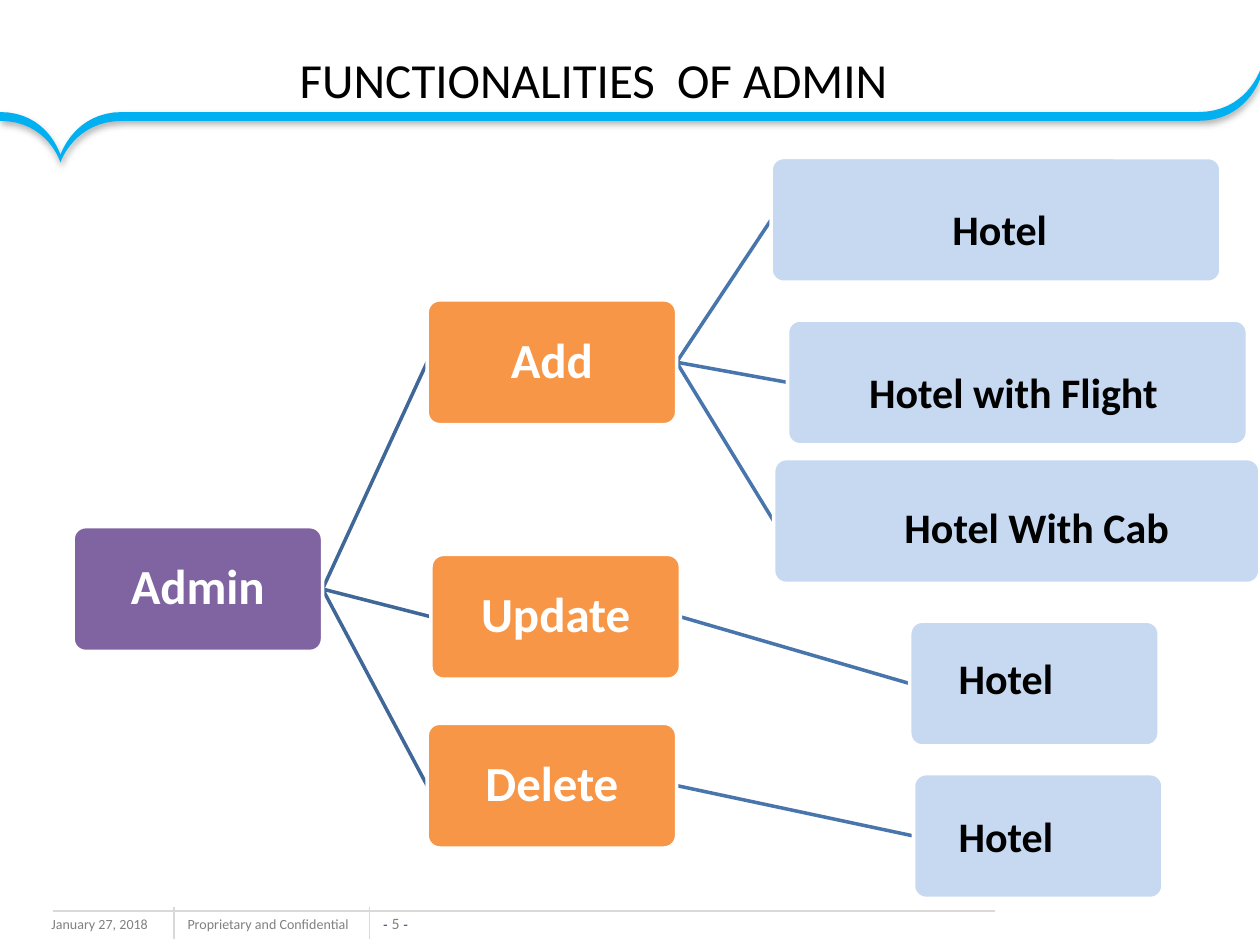
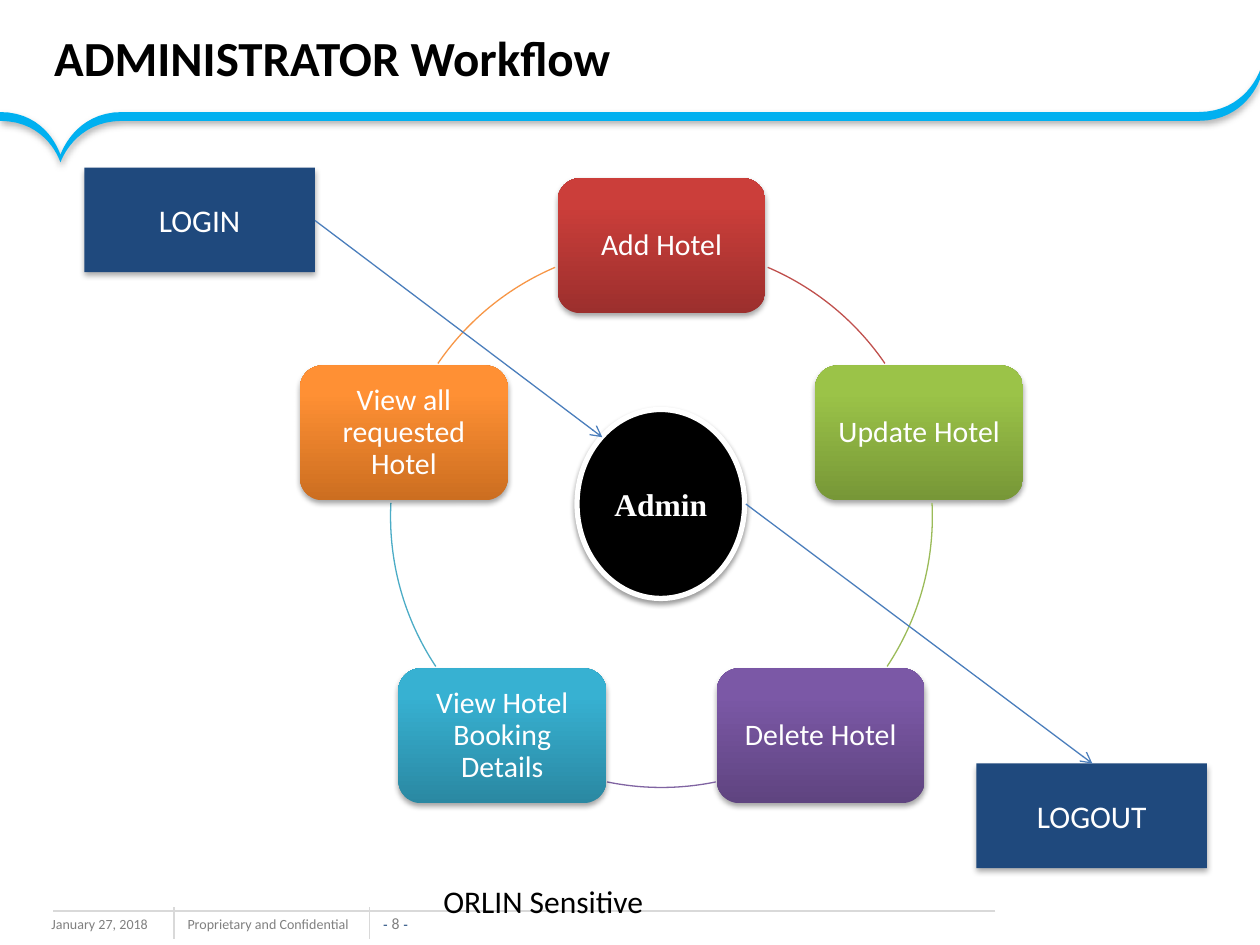
"""Build two admin slides: a tree of functions and a circular workflow."""
import math
from dataclasses import dataclass

from lxml import etree
from pptx import Presentation
from pptx import util as u
from pptx.dml.color import RGBColor
from pptx.enum import shapes, text
from pptx.oxml.ns import qn

Inches, Pt = u.Inches, u.Pt
SHAPE, ALIGN, ANCHOR = shapes.MSO_SHAPE, text.PP_ALIGN, text.MSO_ANCHOR


@dataclass(frozen=True)
class Theme:
    font: str = "Calibri"
    mark_font: str = "Arial"
    hub_font: str = "Times New Roman"
    black: str = "000000"
    white: str = "FFFFFF"
    band: str = "00B0F0"
    navy: str = "1F497D"
    grey: str = "808080"
    rule: str = "D9D9D9"
    root: str = "8064A2"
    action: str = "F79646"
    target: str = "C6D9F1"
    root_link: str = "3F6797"
    action_link: str = "4875AC"
    arrow: str = "4B7EBC"
    heading: int = 28
    label: int = 24
    body: int = 18
    step: int = 17
    number: int = 9
    footer: int = 8


theme = Theme()


def write(box, runs, align=ALIGN.CENTER, anchor=ANCHOR.MIDDLE, inset=(0.1, 0.05), spacing=1.0):
    frame = box.text_frame
    frame.word_wrap = True
    frame.auto_size = text.MSO_AUTO_SIZE.NONE
    frame.vertical_anchor = anchor
    frame.margin_left = frame.margin_right = Inches(inset[0])
    frame.margin_top = frame.margin_bottom = Inches(inset[1])
    paragraph = frame.paragraphs[0]
    paragraph.alignment = align
    paragraph.line_spacing = spacing
    for words, size, color, bold, font in runs:
        run = paragraph.add_run()
        run.text = words
        run.font.size = Pt(size)
        run.font.bold = bold
        run.font.name = font
        run.font.color.rgb = RGBColor.from_string(color)


def connect(slide, start, end, color, width=0.75, arrow=False):
    link = slide.shapes.add_connector(
        shapes.MSO_CONNECTOR.STRAIGHT, *[Inches(v) for v in (*start, *end)])
    link.line.color.rgb = RGBColor.from_string(color)
    link.line.width = Pt(width)
    properties = link.element.spPr
    if arrow:
        etree.SubElement(properties.find(qn("a:ln")), qn("a:tailEnd"), type="arrow")
    etree.SubElement(properties, qn("a:effectLst"))
    return link


prs = Presentation()
prs.slide_width, prs.slide_height = Inches(10), Inches(7.5)
layout = prs.slide_layouts[5]
tree = prs.slides.add_slide(layout)
cycle = prs.slides.add_slide(layout)
shadowed = []

band_curves = [
    [(9.51, 0.89), (0.97, 0.89), (0.97, 0.89), (0.97, 0.89)],
    [(0.97, 0.89), (0.59, 0.89), (0.48, 1.23), (0.48, 1.23)],
    [(0.48, 1.23), (0.48, 1.23), (0.38, 0.89), (0, 0.89)],
    [(0, 0.96), (0.38, 0.96), (0.48, 1.29), (0.48, 1.29)],
    [(0.48, 1.29), (0.48, 1.29), (0.59, 0.96), (0.97, 0.96)],
    [(9.51, 0.96), (9.89, 0.96), (10, 0.63), (10, 0.63)],
    [(10, 0.56), (10, 0.56), (9.89, 0.89), (9.51, 0.89)],
]
outline = []
for curve in band_curves:
    for n in range(17):
        t = n / 16
        weights = ((1 - t) ** 3, 3 * t * (1 - t) ** 2, 3 * t * t * (1 - t), t ** 3)
        outline.append(tuple(
            Inches(sum(w * point[axis] for w, point in zip(weights, curve))) for axis in (0, 1)))
builder = tree.shapes.build_freeform(*outline[0])
builder.add_line_segments(outline[1:], close=True)
band = builder.convert_to_shape()
band.fill.solid()
band.fill.fore_color.rgb = RGBColor.from_string(theme.band)
band.line.fill.background()
shadowed.append((band, 31, 4, 2))

shared = [band]
for left, width, words in ((0.31, 1.33, "January 27, 2018"),
                           (1.39, 1.57, "Proprietary and Confidential")):
    note = tree.shapes.add_textbox(Inches(left), Inches(7.22), Inches(width), Inches(0.25))
    write(note, [(words, theme.footer, theme.grey, False, theme.font)], ALIGN.LEFT, ANCHOR.TOP)
    shared.append(note)
for start, end in (((1.38, 7.2), (1.38, 7.45)), ((2.93, 7.2), (2.93, 7.45)),
                   ((7.9, 7.23), (0.42, 7.23))):
    shared.append(connect(tree, start, end, theme.rule))
for part in shared:
    layout.shapes.element.append(part.element)

for slide, number, heading, area, bold, align in (
        (tree, "5", "FUNCTIONALITIES  OF ADMIN", (0.21, 0, 9, 1.25), False, ALIGN.CENTER),
        (cycle, "8", "ADMINISTRATOR Workflow", (0.33, 0.02, 9, 0.87), True, ALIGN.LEFT)):
    title = slide.shapes.title
    title.left, title.top, title.width, title.height = [Inches(v) for v in area]
    write(title, [(heading, theme.heading, theme.black, bold, theme.font)], align)
    page = slide.shapes.add_textbox(Inches(3.01), Inches(7.25), Inches(0.26), Inches(0.15))
    write(page, [("- ", theme.footer, theme.navy, False, theme.mark_font),
                 (number + " ", theme.number, theme.grey, False, theme.font),
                 ("-", theme.footer, theme.navy, False, theme.mark_font)],
          anchor=ANCHOR.BOTTOM, inset=(0, 0))

node_width, node_height = 1.98, 0.99
nodes = [
    ("Admin", None, 0.58, 4.18, node_width, theme.root),
    ("Add", 0, 3.39, 2.38, node_width, theme.action),
    ("Update", 0, 3.42, 4.4, node_width, theme.action),
    ("Delete", 0, 3.39, 5.74, node_width, theme.action),
    ("", 1, 6.12, 1.25, 3.57, theme.target),
    ("", 1, 6.25, 2.54, 3.65, theme.target),
    ("", 1, 6.14, 3.64, 3.86, theme.target),
    ("", 2, 7.22, 4.93, node_width, theme.target),
    ("", 3, 7.25, 6.14, node_width, theme.target),
]
for words, parent, left, top, width, color in nodes:
    if parent is not None:
        parent_left, parent_top, parent_width = nodes[parent][2:5]
        connect(tree, (parent_left + parent_width, parent_top + node_height / 2),
                (left, top + node_height / 2),
                theme.action_link if parent else theme.root_link, 2)
for words, parent, left, top, width, color in nodes:
    node = tree.shapes.add_shape(SHAPE.ROUNDED_RECTANGLE, Inches(left), Inches(top),
                                 Inches(width), Inches(node_height))
    node.adjustments[0] = 0.1
    node.shadow.inherit = False
    node.fill.solid()
    node.fill.fore_color.rgb = RGBColor.from_string(color)
    node.line.color.rgb = RGBColor.from_string(theme.white)
    node.line.width = Pt(2)
    if words:
        write(node, [(words, theme.heading, theme.white, True, theme.font)],
              inset=(0.05, 0.05), spacing=0.9)

for words, left, top, width, align in (
        ("Hotel", 7.15, 1.57, 1.57, ALIGN.CENTER),
        ("Hotel with Flight", 6.8, 2.86, 2.63, ALIGN.LEFT),
        ("Hotel With Cab", 7.08, 3.93, 2.39, ALIGN.LEFT),
        ("Hotel", 7.51, 5.13, 0.99, ALIGN.LEFT),
        ("Hotel", 7.51, 6.38, 0.99, ALIGN.LEFT)):
    label = tree.shapes.add_textbox(Inches(left), Inches(top), Inches(width), Inches(0.5))
    write(label, [(words, theme.label, theme.black, True, theme.font)], align, ANCHOR.TOP)

sensitivity = cycle.shapes.add_textbox(Inches(3.42), Inches(6.95), Inches(3.17), Inches(0.4))
write(sensitivity, [("ORLIN Sensitive", theme.body, theme.black, False, theme.font)],
      ALIGN.LEFT, ANCHOR.TOP)

center_x, center_y, radius = 5.25, 4.1, 2.15
step_width, step_height = 1.65, 1.07
steps = [
    ("Add Hotel", "9C2F2D", "CB3E3A", "C0504D", 293.1, 325.6),
    ("Update Hotel", "779737", "9BC348", "9BBB59", 357.1, 33.6),
    ("Delete Hotel", "5F4480", "7B58A6", "8064A2", 78.4, 101.6),
    ("View Hotel Booking Details", "2A88A2", "37B1D2", "4BACC6", 146.4, 182.9),
    ("View all requested Hotel", "CC6E20", "FF9034", "F79646", 214.4, 246.9),
]
for index, (words, dark, light, arc_color, arc_start, arc_end) in enumerate(steps):
    angle = math.radians(72 * index - 90)
    step = cycle.shapes.add_shape(
        SHAPE.ROUNDED_RECTANGLE,
        Inches(center_x + radius * math.cos(angle) - step_width / 2),
        Inches(center_y + radius * math.sin(angle) - step_height / 2),
        Inches(step_width), Inches(step_height))
    step.fill.gradient()
    step.fill.gradient_angle = 90
    for stop, color, position in zip(step.fill.gradient_stops, (dark, light), (0, 0.8)):
        stop.color.rgb = RGBColor.from_string(color)
        stop.position = position
    step.line.fill.background()
    write(step, [(words, theme.step, theme.white, False, theme.font)],
          inset=(0.12, 0.12), spacing=0.9)
    shadowed.append((step, 35, 3.1, 1.8))

    arc = cycle.shapes.add_shape(SHAPE.ARC, Inches(center_x - radius), Inches(center_y - radius),
                                 Inches(2 * radius), Inches(2 * radius))
    arc.adjustments[0], arc.adjustments[1] = arc_start * 0.6, arc_end * 0.6
    arc.shadow.inherit = False
    arc.fill.background()
    arc.line.color.rgb = RGBColor.from_string(arc_color)
    arc.line.width = Pt(0.75)

for words, kind, area, color, font, shade in (
        ("Admin", SHAPE.OVAL, (4.58, 3.25, 1.33, 1.5), theme.black, theme.hub_font, (38, 3.1, 1.6)),
        ("LOGIN", SHAPE.RECTANGLE, (0.67, 1.33, 1.83, 0.83), theme.navy, theme.font, (32, 3.5, 2.2)),
        ("LOGOUT", SHAPE.RECTANGLE, (7.75, 6.06, 1.83, 0.83), theme.navy, theme.font, (32, 3.5, 2.2))):
    stage = cycle.shapes.add_shape(kind, *[Inches(v) for v in area])
    stage.fill.solid()
    stage.fill.fore_color.rgb = RGBColor.from_string(color)
    is_hub = kind == SHAPE.OVAL
    if is_hub:
        stage.line.color.rgb = RGBColor.from_string(theme.white)
        stage.line.width = Pt(3)
    else:
        stage.line.fill.background()
    write(stage, [(words, theme.body, theme.white, is_hub, font)])
    shadowed.append((stage, *shade))

for start, end in (((2.5, 1.75), (4.78, 3.47)), ((5.92, 4), (8.67, 6.06))):
    connect(cycle, start, end, theme.arrow, arrow=True)

for part, opacity, blur, distance in shadowed:
    part.shadow.inherit = False
    effects = part.element.spPr.find(qn("a:effectLst"))
    shadow = etree.SubElement(effects, qn("a:outerShdw"), blurRad=str(Pt(blur)),
                              dist=str(Pt(distance)), dir="5400000", rotWithShape="0")
    shade = etree.SubElement(shadow, qn("a:srgbClr"), val=theme.black)
    etree.SubElement(shade, qn("a:alpha"), val=str(opacity * 1000))

prs.save("out.pptx")
